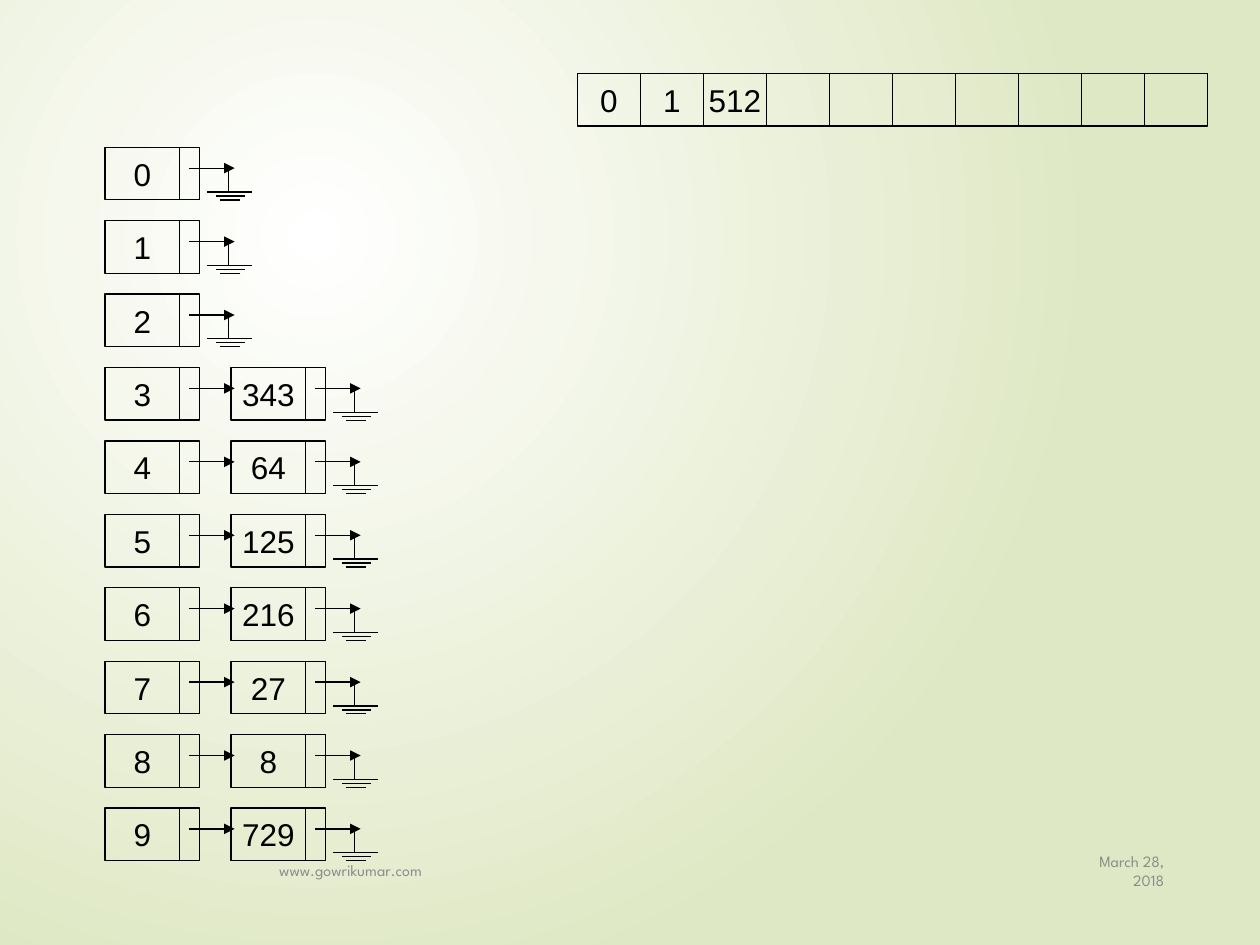
from dataclasses import dataclass

import lxml.etree
import pptx
import pptx.dml.color
import pptx.enum.shapes
import pptx.enum.text
import pptx.oxml.ns
import pptx.util

Cm = pptx.util.Cm
Pt = pptx.util.Pt
RGB = pptx.dml.color.RGBColor
ALIGN = pptx.enum.text.PP_ALIGN
qn = pptx.oxml.ns.qn


@dataclass(frozen=True)
class Theme:
    ink: RGB = RGB(0x00, 0x00, 0x00)
    muted: RGB = RGB(0x8C, 0x8C, 0x8C)
    glow: RGB = RGB(0xFF, 0xFF, 0xFF)
    field: RGB = RGB(0xDF, 0xE8, 0xC4)
    body_font: str = "Arial"
    footer_font: str = "League Spartan"
    body_size: int = 18
    footer_size: int = 9
    line_width: float = 0.75


THEME = Theme()

# Lengths in centimetres
BOX_H = 1.06
VALUE_W, POINTER_W = 1.5, 0.4
NODE_STEP, ROW_STEP = 2.54, 1.48
LIST_LEFT, LIST_TOP = 2.12, 2.97
CELL_W, ARRAY_LEFT, ARRAY_TOP = 1.27, 11.64, 1.48

# Each row is one bucket: its digit, then the numbers chained to it
BUCKETS = [["0"], ["1"], ["2"], ["3", "343"], ["4", "64"], ["5", "125"],
           ["6", "216"], ["7", "27"], ["8", "8"], ["9", "729"]]
ARRAY = ["0", "1", "512"] + [""] * 7


def set_text(sp, text, *, size=THEME.body_size, font=THEME.body_font,
             color=THEME.ink, align=ALIGN.CENTER, wrap=False):
    tf = sp.text_frame
    tf.word_wrap = wrap
    tf.vertical_anchor = pptx.enum.text.MSO_ANCHOR.MIDDLE
    p = tf.paragraphs[0]
    p.alignment = align
    r = p.add_run()
    r.text = text
    r.font.size = Pt(size)
    r.font.name = font
    r.font.color.rgb = color


def add_box(shapes, x, y, w, text=""):
    sp = shapes.add_shape(pptx.enum.shapes.MSO_SHAPE.RECTANGLE,
                          Cm(x), Cm(y), Cm(w), Cm(BOX_H))
    sp.shadow.inherit = False
    sp.fill.background()
    sp.line.color.rgb = THEME.ink
    sp.line.width = Pt(THEME.line_width)
    if text:
        set_text(sp, text)


def add_line(shapes, x1, y1, x2, y2, arrow=False):
    sp = shapes.add_connector(pptx.enum.shapes.MSO_CONNECTOR.STRAIGHT,
                              Cm(x1), Cm(y1), Cm(x2), Cm(y2))
    sp.line.color.rgb = THEME.ink
    sp.line.width = Pt(THEME.line_width)
    if arrow:
        lxml.etree.SubElement(sp.line._get_or_add_ln(), qn("a:tailEnd"), type="triangle")
    lxml.etree.SubElement(sp._element.spPr, qn("a:effectLst"))


def add_ground(shapes, x, y):
    """Null pointer sign under the arrow of the node at x, y."""
    for left, right, drop in [(2.06, 2.97, 0.9), (2.24, 2.82, 0.98), (2.31, 2.72, 1.06)]:
        add_line(shapes, x + left, y + drop, x + right, y + drop)
    add_line(shapes, x + 2.49, y + 0.9, x + 2.49, y + 0.42)


def add_node(s, x, y, text, last):
    shapes = s.shapes.add_group_shape().shapes
    add_box(shapes, x, y, VALUE_W, text)
    add_box(shapes, x + VALUE_W, y, POINTER_W)
    add_line(shapes, x + 1.69, y + 0.42, x + 2.61, y + 0.42, arrow=True)
    if last:
        add_ground(shapes, x, y)


def add_footer(s, x, w, text, align):
    sp = s.shapes.add_textbox(Cm(x), Cm(17.04), Cm(w), Cm(1.02))
    set_text(sp, text, size=THEME.footer_size, font=THEME.footer_font,
             color=THEME.muted, align=align, wrap=True)


def set_background(s):
    fill = s.background.fill
    fill.gradient()
    for stop, color in zip(fill.gradient_stops, (THEME.glow, THEME.field)):
        stop.color.rgb = color
    # Turn the linear gradient into a circular one
    grad = next(s._element.iter(qn("a:gradFill")))
    grad.remove(grad.find(qn("a:lin")))
    circle = lxml.etree.SubElement(grad, qn("a:path"), path="circle")
    lxml.etree.SubElement(circle, qn("a:fillToRect"),
                          l="50000", t="50000", r="100000", b="100000")


def main():
    prs = pptx.Presentation()
    prs.slide_width, prs.slide_height = Cm(25.4), Cm(19.05)
    s = prs.slides.add_slide(prs.slide_layouts[6])
    set_background(s)

    # Footer
    add_footer(s, 21.59, 2.13, "March 28, 2018", ALIGN.RIGHT)
    add_footer(s, 5.38, 15.88, "www.gowrikumar.com", ALIGN.LEFT)

    # Buckets with their linked lists
    for row, values in enumerate(BUCKETS):
        for col, text in enumerate(values):
            add_node(s, LIST_LEFT + col * NODE_STEP, LIST_TOP + row * ROW_STEP,
                     text, last=col == len(values) - 1)

    # Array of sorted numbers
    for i, text in enumerate(ARRAY):
        add_box(s.shapes, ARRAY_LEFT + i * CELL_W, ARRAY_TOP, CELL_W, text)

    prs.save("out.pptx")


if __name__ == "__main__":
    main()
